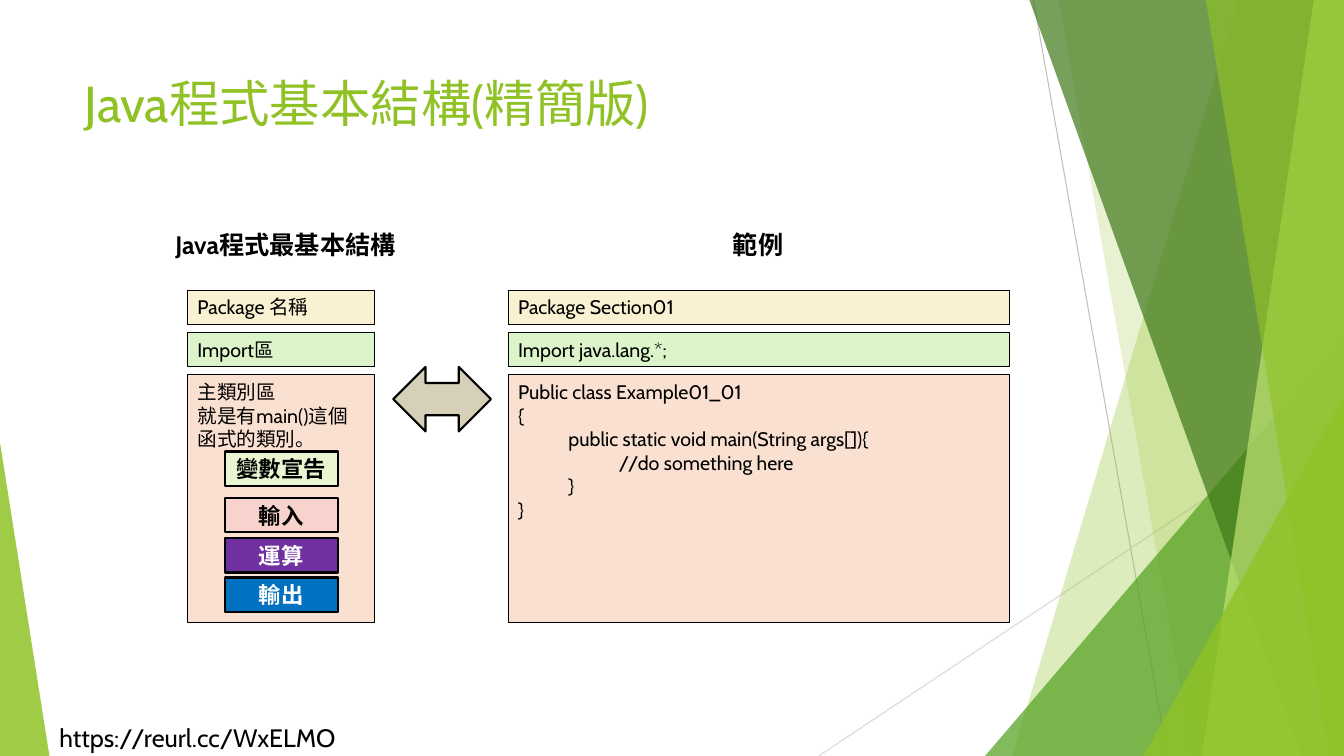
import pptx
import pptx.util
import pptx.dml.color
import pptx.enum.shapes
import pptx.enum.text
import pptx.oxml
import pptx.oxml.ns

RGBColor = pptx.dml.color.RGBColor
Pt = pptx.util.Pt
SHAPE = pptx.enum.shapes.MSO_SHAPE
ALIGN = pptx.enum.text.PP_ALIGN
ANCHOR = pptx.enum.text.MSO_ANCHOR

PX = 9144
FONT = "Cabin"
BLACK = RGBColor(0x00, 0x00, 0x00)
WHITE = RGBColor(0xFF, 0xFF, 0xFF)
LIME = RGBColor(0x90, 0xC2, 0x26)
GREEN = RGBColor(0x54, 0xA0, 0x21)
FOREST = RGBColor(0x3F, 0x78, 0x19)
PALE_LIME = RGBColor(0xC0, 0xE4, 0x74)
GRAY = RGBColor(0xBF, 0xBF, 0xBF)
LIGHT_GRAY = RGBColor(0xD9, 0xD9, 0xD9)
CREAM = RGBColor(0xFA, 0xF1, 0xD2)
MINT = RGBColor(0xDB, 0xF4, 0xCA)
PEACH = RGBColor(0xFA, 0xE0, 0xD1)
SAND = RGBColor(0xD6, 0xD0, 0xB8)
PALE_GREEN = RGBColor(0xEA, 0xF6, 0xD1)
PINK = RGBColor(0xF8, 0xD2, 0xCC)
PURPLE = RGBColor(0x70, 0x30, 0xA0)
BLUE = RGBColor(0x00, 0x70, 0xC0)


def paint(shape, color, line_width=0, opacity=100):
    shape.shadow.inherit = False
    shape.fill.solid()
    shape.fill.fore_color.rgb = color
    if opacity < 100:
        tint = shape.fill._xPr.find(".//" + pptx.oxml.ns.qn("a:srgbClr"))
        alpha = pptx.oxml.parse_xml(
            f'<a:alpha {pptx.oxml.ns.nsdecls("a")} val="{opacity * 1000}"/>')
        tint.append(alpha)
    if line_width:
        shape.line.color.rgb = BLACK
        shape.line.width = Pt(line_width)
    else:
        shape.line.fill.background()


def write(shape, lines, size, color=BLACK, bold=False, align=ALIGN.LEFT, anchor=ANCHOR.TOP, wrap=True):
    frame = shape.text_frame
    frame.word_wrap = wrap
    frame.vertical_anchor = anchor
    for index, line in enumerate(lines):
        para = frame.paragraphs[0] if index == 0 else frame.add_paragraph()
        para.alignment = align
        if "\t" in line:
            stops = "".join(f'<a:tab pos="{stop * PX}" algn="l"/>' for stop in (50, 100))
            para._p.get_or_add_pPr().append(pptx.oxml.parse_xml(
                f'<a:tabLst {pptx.oxml.ns.nsdecls("a")}>{stops}</a:tabLst>'))
        span = para.add_run()
        span.text = line
        span.font.name = FONT
        span.font.size = Pt(size)
        span.font.bold = bold
        span.font.color.rgb = color


deck = pptx.Presentation()
deck.slide_width = 1333 * PX
deck.slide_height = 750 * PX
page = deck.slides.add_slide(deck.slide_layouts[5])

for x1, y1, x2, y2, color in [
    (1025, 0, 1158, 750, GRAY),
    (1333, 403, 812, 750, LIGHT_GRAY),
]:
    line = page.shapes.add_connector(
        pptx.enum.shapes.MSO_CONNECTOR.STRAIGHT, x1 * PX, y1 * PX, x2 * PX, y2 * PX)
    line.line.color.rgb = color
    line.line.width = Pt(0.75)
    line._element.spPr.append(pptx.oxml.parse_xml(
        f'<a:effectLst {pptx.oxml.ns.nsdecls("a")}/>'))

facets = [
    ("band", 1228, 1004, LIME, 30),
    ("band", 1050, 1183, LIME, 20),
    ("triangle", 977, 333, 356, 1, GREEN, 72),
    ("band", 1021, 1291, FOREST, 70),
    ("band", 1303, 1192, PALE_LIME, 70),
    ("band", 1196, 1318, LIME, 65),
    ("triangle", 1134, 393, 199, 1, LIME, 80),
    ("triangle", 0, 439, 49, 0, LIME, 85),
]
for kind, *values, color, opacity in facets:
    if kind == "band":
        top_x, bottom_x = values
        outline = page.shapes.build_freeform(top_x, 0, scale=PX)
        outline.add_line_segments([(1333, 0), (1333, 750), (bottom_x, 750)], close=True)
        facet = outline.convert_to_shape()
    else:
        left, top, width, apex = values
        facet = page.shapes.add_shape(
            SHAPE.ISOSCELES_TRIANGLE, left * PX, top * PX, width * PX, (750 - top) * PX)
        facet.adjustments[0] = apex
    paint(facet, color, opacity=opacity)

title = page.shapes.title
title.left, title.top, title.width, title.height = 74 * PX, 67 * PX, 940 * PX, 144 * PX
write(title, ["Java程式基本結構(精簡版)"], 36, LIME)

for left, top, width, text, bold in [
    (49, 712, 312, "https://reurl.cc/WxELMO", False),
    (164, 223, 251, "Java程式最基本結構", True),
    (717, 223, 71, "範例", True),
]:
    label = page.shapes.add_textbox(left * PX, top * PX, width * PX, 40 * PX)
    write(label, [text], 18, bold=bold, wrap=False)
    label.text_frame.auto_size = pptx.enum.text.MSO_AUTO_SIZE.SHAPE_TO_FIT_TEXT

rows = [(288, 34, CREAM), (330, 34, MINT), (372, 246, PEACH)]
columns = [
    (186, 186, [
        ["Package 名稱"],
        ["Import區"],
        ["主類別區", "就是有main()這個函式的類別。"],
    ]),
    (504, 497, [
        ["Package Section01"],
        ["Import java.lang.*;"],
        [
            "Public class Example01_01",
            "{",
            "\tpublic static void main(String args[]){",
            "\t\t//do something here",
            "\t}",
            "}",
        ],
    ]),
]
for left, width, sections in columns:
    for (top, height, color), lines in zip(rows, sections):
        panel = page.shapes.add_shape(
            SHAPE.RECTANGLE, left * PX, top * PX, width * PX, height * PX)
        paint(panel, color, 0.75)
        write(panel, lines, 14)

arrow = page.shapes.add_shape(SHAPE.LEFT_RIGHT_ARROW, 390 * PX, 364 * PX, 97 * PX, 64 * PX)
paint(arrow, SAND, 1.5)

for top, text, fill, color in [
    (448, "變數宣告", PALE_GREEN, BLACK),
    (494, "輸入", PINK, BLACK),
    (534, "運算", PURPLE, WHITE),
    (573, "輸出", BLUE, WHITE),
]:
    step = page.shapes.add_shape(SHAPE.RECTANGLE, 223 * PX, top * PX, 112 * PX, 34 * PX)
    paint(step, fill, 1.5)
    write(step, [text], 16, color, True, ALIGN.CENTER, ANCHOR.MIDDLE)

deck.save("out.pptx")
